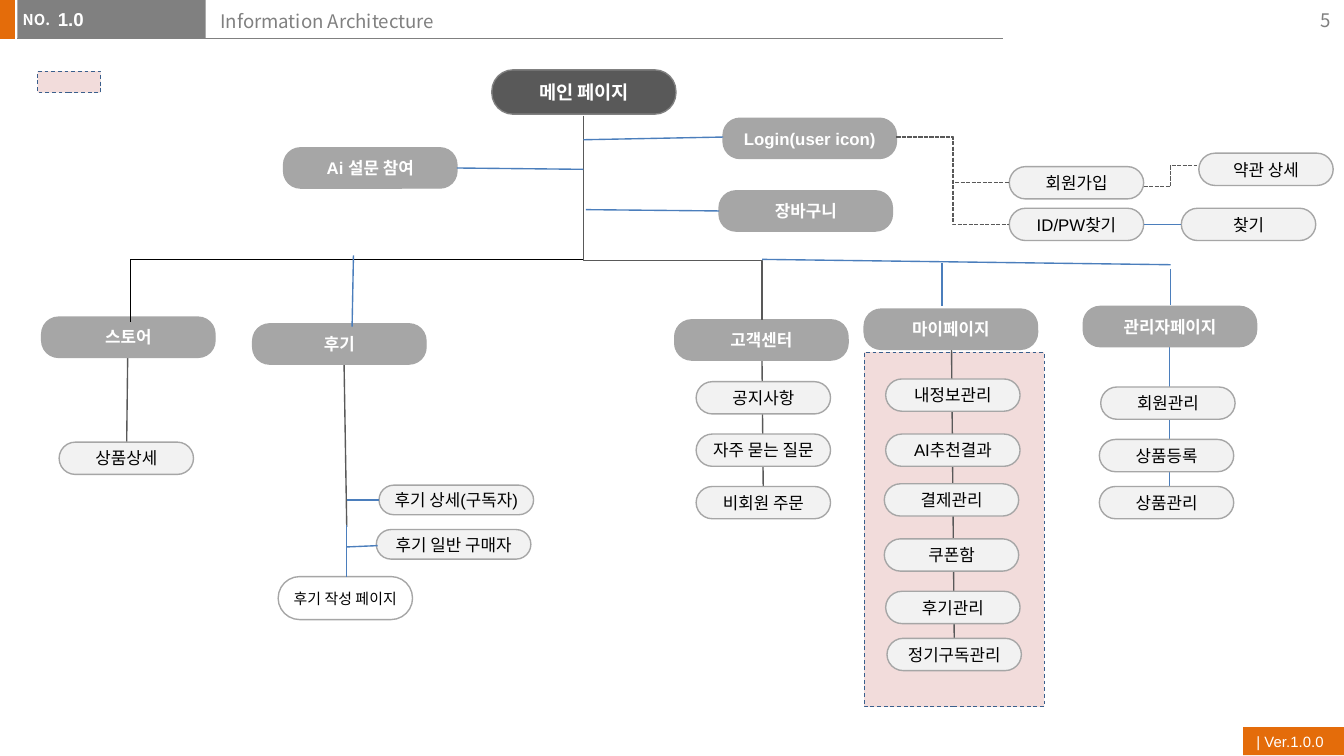
from dataclasses import dataclass
from typing import Optional

from lxml.etree import SubElement
from pptx import Presentation
from pptx.dml.color import RGBColor
from pptx.enum.dml import MSO_LINE as Dash
from pptx.enum.shapes import MSO_CONNECTOR as Link, MSO_SHAPE as Form
from pptx.enum.text import MSO_ANCHOR as Anchor, MSO_AUTO_SIZE as Fit, PP_ALIGN as Align
from pptx.oxml.ns import qn
from pptx.util import Inches, Pt

WHITE = RGBColor(0xFF, 0xFF, 0xFF)
BLACK = RGBColor(0, 0, 0)
ORANGE = RGBColor(0xE4, 0x6C, 0x0A)
PINK = RGBColor(0xF2, 0xDC, 0xDB)
NAVY = RGBColor(0x3A, 0x5F, 0x8C)
BLUE = RGBColor(0x4B, 0x7E, 0xBC)
CHARCOAL = RGBColor(0x59, 0x59, 0x59)
GRAY = RGBColor(0x80, 0x80, 0x80)
SILVER = RGBColor(0xA6, 0xA6, 0xA6)
PALE = RGBColor(0xF2, 0xF2, 0xF2)

LATIN, KOREAN = "Arial", "Noto Sans CJK KR"
COLUMNS = 100


@dataclass(frozen=True)
class Style:
    width: float
    height: float
    fill: RGBColor
    outline: RGBColor
    ink: RGBColor
    size: float = 9
    bold: bool = False
    rounding: float = 0.5


@dataclass(frozen=True)
class Node:
    text: str
    column: float
    row: float
    style: Style


@dataclass(frozen=True)
class Line:
    start: tuple[float, float]
    end: tuple[float, float]
    color: RGBColor = BLUE
    width: float = 0.75


HOME = Style(13.7, 3.3, CHARCOAL, GRAY, WHITE, 10, True, 0.48)
SECTION = Style(12.9, 3, SILVER, SILVER, WHITE, bold=True, rounding=0.42)
PAGE = Style(10, 2.4, PALE, SILVER, BLACK)
REVIEW = Style(11.5, 2.2, PALE, SILVER, BLACK)
FORM = Style(10, 3.2, WHITE, SILVER, BLACK, 8)

NODES = [
    Node("메인 페이지", 36.6, 5.2, HOME),
    Node("Ai 설문 참여", 21.1, 11, SECTION),
    Node("Login(user icon)", 53.8, 8.8, SECTION),
    Node("장바구니", 53.5, 14.2, SECTION),
    Node("스토어", 3.1, 23.6, SECTION),
    Node("후기", 18.8, 24.1, SECTION),
    Node("고객센터", 50.2, 23.8, SECTION),
    Node("마이페이지", 64.3, 23, SECTION),
    Node("관리자페이지", 80.6, 22.8, SECTION),
    Node("회원가입", 75.1, 12.4, PAGE),
    Node("ID/PW찾기", 75.1, 15.5, PAGE),
    Node("약관 상세", 89.2, 11.4, PAGE),
    Node("찾기", 87.9, 15.5, PAGE),
    Node("상품상세", 4.4, 32.9, PAGE),
    Node("후기 상세(구독자)", 28.2, 36.1, REVIEW),
    Node("후기 일반 구매자", 28, 39.4, REVIEW),
    Node("후기 작성 페이지", 20.7, 42.9, FORM),
    *(Node(text, 51.8, 28.4 + 3.9 * index, PAGE)
      for index, text in enumerate(["공지사항", "자주 묻는 질문", "비회원 주문"])),
    Node("내정보관리", 65.9, 28.2, PAGE),
    Node("AI추천결과", 65.9, 32.3, PAGE),
    Node("결제관리", 65.8, 36, PAGE),
    Node("쿠폰함", 65.8, 40.1, PAGE),
    Node("후기관리", 65.9, 44, PAGE),
    Node("정기구독관리", 66, 47.5, PAGE),
    Node("회원관리", 81.9, 28.8, PAGE),
    Node("상품등록", 81.8, 32.7, PAGE),
    Node("상품관리", 81.8, 36.2, PAGE),
]

STEMS = [
    Line((9.5, 26.6), (9.4, 35.3), CHARCOAL),
    Line((25.6, 27), (25.8, 39.2), CHARCOAL),
    Line((56.7, 26.8), (56.8, 37.5), CHARCOAL),
    Line((70.8, 26), (71, 47.5), CHARCOAL),
    Line((87, 25.8), (87, 37.1)),
]

BRANCHES = [
    Line((43.4, 12.6), (34, 12.5)),
    Line((43.4, 10.4), (53.8, 10.2)),
    Line((43.6, 15.6), (53.5, 15.7)),
    Line((85.1, 16.7), (87.9, 16.7)),
    Line((56.7, 19.3), (87.1, 19.7)),
    Line((26.3, 19), (26.2, 24.3)),
    Line((70.1, 19.6), (70.1, 22.8)),
    Line((87.1, 20), (87.1, 22.7)),
    Line((25.8, 37.2), (28.2, 37.2)),
    Line((25.8, 40.7), (28.1, 40.6)),
    Line((25.8, 39.1), (25.8, 42.9)),
]

SIDE_ELBOWS = [
    Line((66.7, 10.2), (75.1, 13.6), CHARCOAL),
    Line((66.7, 10.2), (75.1, 16.7), CHARCOAL),
    Line((85.1, 13.9), (89.1, 12.3), CHARCOAL),
]

deck = Presentation()
deck.slide_width = Inches(10)
deck.slide_height = deck.slide_width * 9 // 16
UNIT = deck.slide_width // COLUMNS
page = deck.slides.add_slide(deck.slide_layouts[1])


def grid(*cells: float) -> list[int]:
    return [round(cell * UNIT) for cell in cells]


def write(frame, text: str, size: float, color: RGBColor, font: str = LATIN,
          bold: bool = False, align: Align = Align.LEFT, anchor: Anchor = Anchor.TOP) -> None:
    frame.text = text
    frame.auto_size = Fit.NONE
    frame.vertical_anchor = anchor
    para = frame.paragraphs[0]
    para.alignment = align
    for span in para.runs:
        span.font.size, span.font.bold = Pt(size), bold
        span.font.color.rgb = color
        span.font.name = font
        SubElement(span.font._element, qn("a:ea"), typeface=KOREAN)


def add_box(form: Form, cells: tuple[float, ...], fill: RGBColor,
            outline: Optional[RGBColor] = None, width: float = 0.75):
    box = page.shapes.add_shape(form, *grid(*cells))
    box.shadow.inherit = False
    box.fill.solid()
    box.fill.fore_color.rgb = fill
    if outline is None:
        box.line.fill.background()
    else:
        box.line.color.rgb = outline
        box.line.width = Pt(width)
    return box


def add_label(text: str, cells: tuple[float, ...], **look):
    box = page.shapes.add_textbox(*grid(*cells))
    write(box.text_frame, text, **look)
    return box


def add_zone(*cells: float) -> None:
    add_box(Form.RECTANGLE, cells, PINK, NAVY, 0.5).line.dash_style = Dash.DASH


def add_node(node: Node) -> None:
    style = node.style
    box = add_box(Form.ROUNDED_RECTANGLE, (node.column, node.row, style.width, style.height),
                  style.fill, style.outline)
    box.adjustments[0] = style.rounding
    frame = box.text_frame
    frame.margin_left = frame.margin_right = frame.margin_top = frame.margin_bottom = Inches(0.02)
    write(frame, node.text, style.size, style.ink, bold=style.bold,
          align=Align.CENTER, anchor=Anchor.MIDDLE)
    frame.paragraphs[0].space_before = Pt(style.size / 10)


def add_line(line: Line, kind: Link = Link.STRAIGHT, dash: Optional[Dash] = None):
    link = page.shapes.add_connector(kind, *grid(*line.start, *line.end))
    link.line.color.rgb = line.color
    link.line.width = Pt(line.width)
    if dash is not None:
        link.line.dash_style = dash
    SubElement(link.element.spPr, qn("a:effectLst"))
    return link


def add_drop(line: Line, bend: float) -> None:
    (left, top), (right, bottom) = line.start, line.end
    middle, center = (left + right) / 2, (top + bottom) / 2
    across, down = abs(right - left) / 2, (bottom - top) / 2
    side = 1 if right > left else -1
    turned = Line((middle + side * down, center - across),
                  (middle - side * down, center + across), line.color)
    shape = add_line(turned, Link.ELBOW).element.spPr
    shape.find(qn("a:xfrm")).set("rot", str((270 if side > 0 else 90) * 60000))
    guides = shape.find(qn("a:prstGeom")).find(qn("a:avLst"))
    SubElement(guides, qn("a:gd"), name="adj1", fmla=f"val {round(bend * 100000)}")


def add_header() -> None:
    add_box(Form.RECTANGLE, (-0.1, 0, 1.2, 2.9), ORANGE)
    add_line(Line((1.3, 2.9), (74.6, 2.9), GRAY, 0.5))
    add_box(Form.RECTANGLE, (1.3, 0, 14, 2.9), GRAY)
    number = add_label("NO.", (0.7, 0.3, 4.1, 2.4), size=8, color=WHITE, font=KOREAN, bold=True)
    number.text_frame.word_wrap = False
    add_label("5", (94, 0, 6, 3), size=10, color=GRAY, font=KOREAN,
              align=Align.RIGHT, anchor=Anchor.MIDDLE)
    version = add_box(Form.RECTANGLE, (92.5, 54.1, 7.5, 2.1), ORANGE)
    write(version.text_frame, "| Ver.1.0.0", 8, WHITE, anchor=Anchor.MIDDLE)


def fill_placeholder(holder, cells: tuple[float, ...], text: str, **look) -> None:
    holder.left, holder.top, holder.width, holder.height = grid(*cells)
    write(holder.text_frame, text, 10, **look)
    page.shapes._spTree.append(holder.element)


add_header()
title, body = page.shapes.title, page.placeholders[1]
fill_placeholder(title, (15.4, 0.2, 59.1, 3.2), "Information Architecture",
                 color=GRAY, font=KOREAN)
fill_placeholder(body, (4.3, 0.1, 11, 3.1), "1.0", color=WHITE, bold=True)
body.text_frame.margin_left = body.text_frame.margin_right = 0
SubElement(body.text_frame.paragraphs[0]._p.get_or_add_pPr(), qn("a:buNone"))

add_zone(64.3, 26.2, 13.4, 26.4)
add_zone(2.8, 5.3, 4.7, 1.6)
for stem in STEMS:
    add_line(stem)
for node in NODES:
    add_node(node)
for elbow in SIDE_ELBOWS:
    add_line(elbow, Link.ELBOW, Dash.SQUARE_DOT)
add_drop(Line((43.4, 14.6), (9.7, 24), BLACK), 0.5)
add_drop(Line((43.4, 8.6), (56.7, 23.8), CHARCOAL), 0.71)
for branch in BRANCHES:
    add_line(branch)

deck.save("out.pptx")
